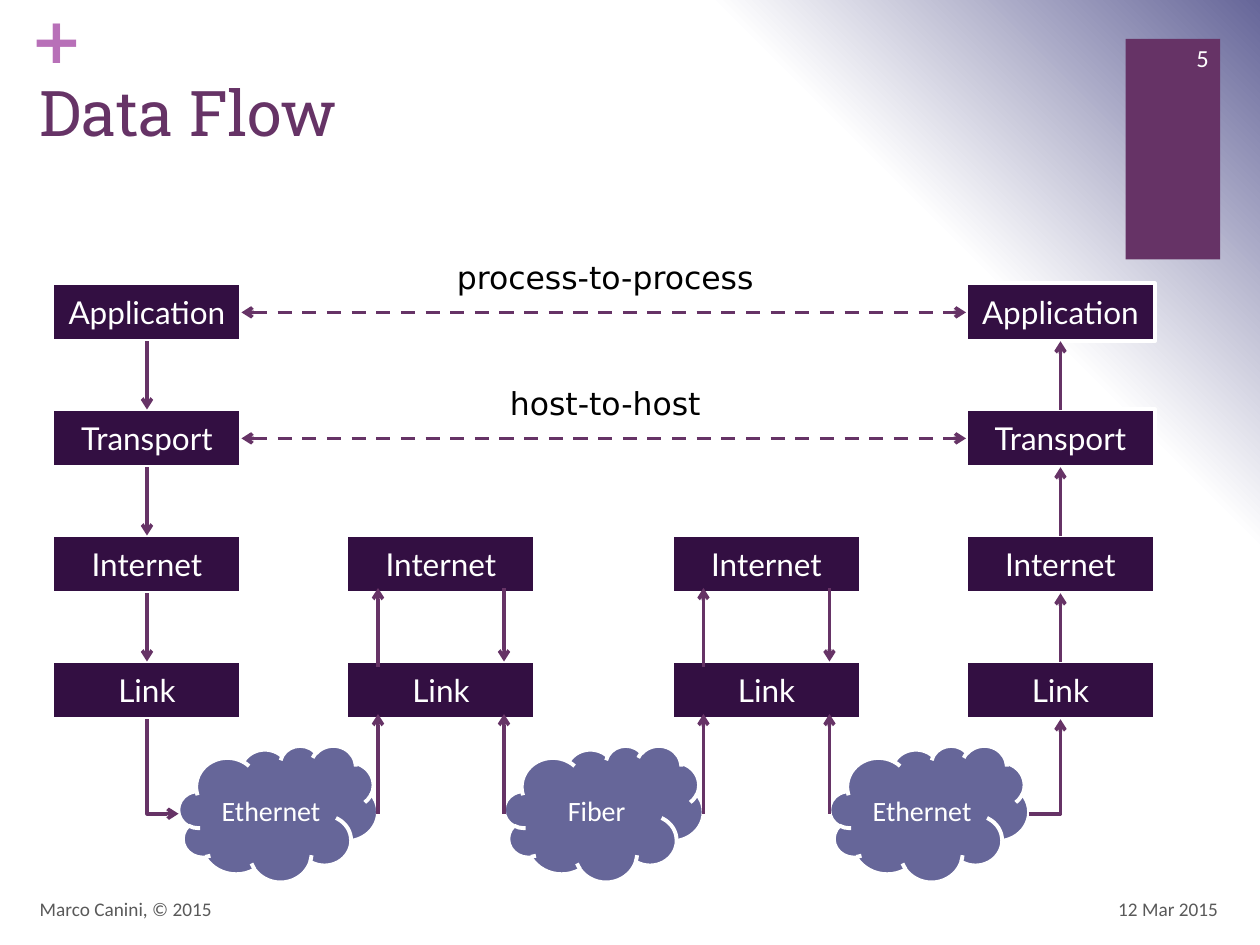
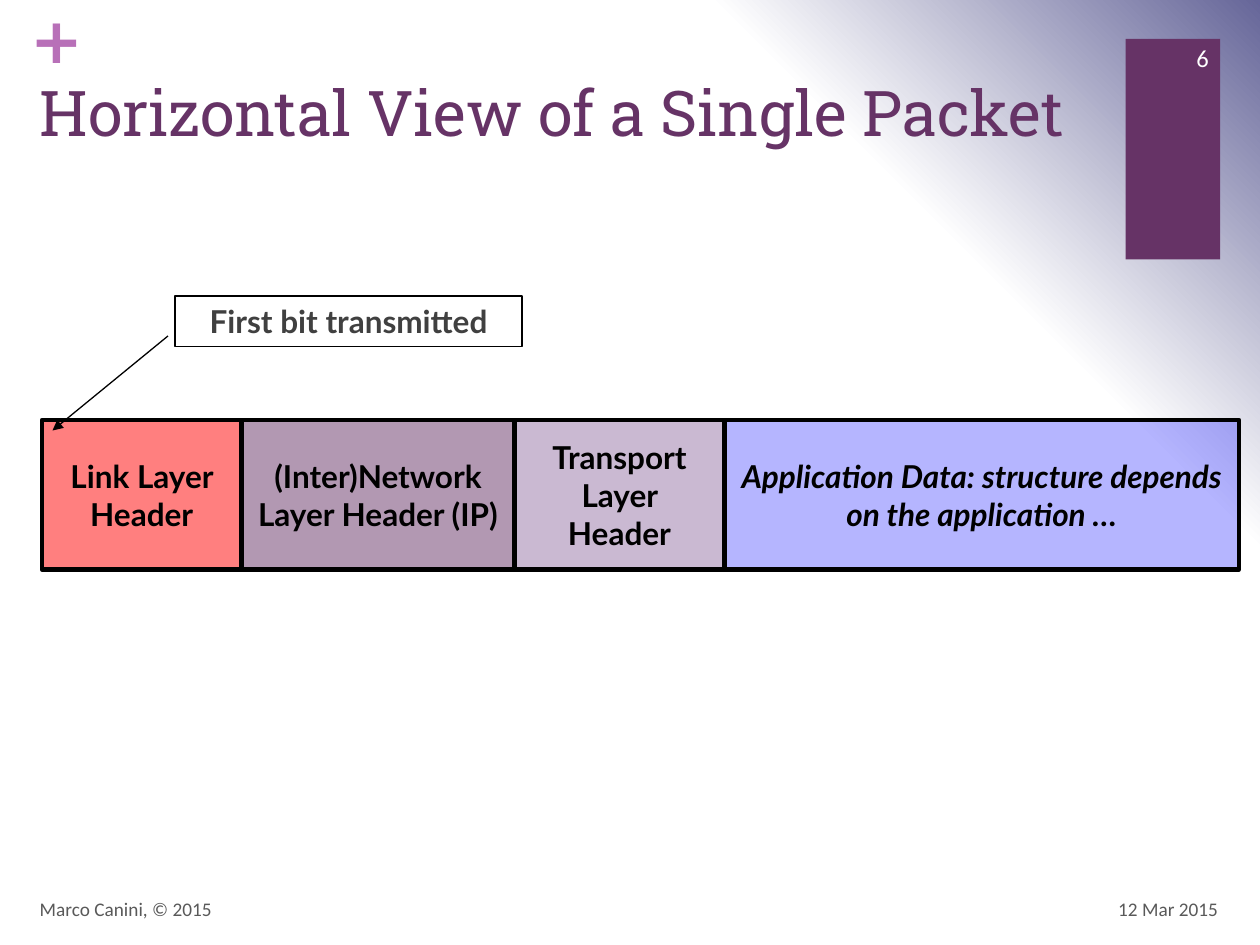
from dataclasses import dataclass
from itertools import accumulate, pairwise

from lxml.etree import SubElement
from pptx import Presentation
from pptx.dml.color import RGBColor
from pptx.enum.dml import MSO_LINE_DASH_STYLE as Dash
from pptx.enum.shapes import MSO_CONNECTOR as Connector, MSO_SHAPE as Preset
from pptx.enum.text import MSO_ANCHOR as Anchor, MSO_AUTO_SIZE as AutoSize, PP_ALIGN as Align
from pptx.oxml.ns import qn
from pptx.util import Inches, Pt


@dataclass(frozen=True)
class TextStyle:
    font: str
    size: float
    color: str
    bold: bool = False
    italic: bool = False


@dataclass(frozen=True)
class Theme:
    purple: str = "663366"
    dark_purple: str = "330F42"
    slate: str = "666699"
    white: str = "FFFFFF"
    black: str = "000000"
    red: str = "FF0000"
    lilac: str = "9775A7"
    blue: str = "0000FF"
    title: TextStyle = TextStyle("Roboto Slab", 36, "663366")
    plus: TextStyle = TextStyle("DejaVu Sans", 36, "B870B8", bold=True)
    footer: TextStyle = TextStyle("Calibri", 11, "595959")
    number: TextStyle = TextStyle("Calibri", 14, "FFFFFF")
    layer: TextStyle = TextStyle("Lato", 18, "FFFFFF")
    network: TextStyle = TextStyle("Calibri", 16, "FFFFFF")
    label: TextStyle = TextStyle("DejaVu Sans", 18, "000000")
    header: TextStyle = TextStyle("Lato", 18, "000000", bold=True)
    payload: TextStyle = TextStyle("Lato", 18, "000000", bold=True, italic=True)
    callout: TextStyle = TextStyle("Lato", 18, "404040", bold=True)


THEME = Theme()
COLUMNS, ROWS = 120, 90
WIDTH, HEIGHT = Inches(10), Inches(7.5)
BOX_WIDTH, BOX_HEIGHT = 18, 5.5
LAYERS = ["Application", "Transport", "Internet", "Link"]
LAYER_ROWS = dict(zip(LAYERS, range(27, 75, 12)))
HOSTS, ROUTERS = [5, 92], [33, 64]
CLOUD_ROW, CLOUD_WIDTH, CLOUD_HEIGHT = 71, 19, 13
CLOUD_MIDDLE = CLOUD_ROW + CLOUD_HEIGHT / 2


def x(column):
    return round(WIDTH * column / COLUMNS)


def y(row):
    return round(HEIGHT * row / ROWS)


def place(left, top, width, height):
    return x(left), y(top), x(width), y(height)


def write(shape, text, style, align=Align.LEFT, anchor=Anchor.TOP):
    frame = shape.text_frame
    frame.vertical_anchor = anchor
    paragraph = frame.paragraphs[0]
    paragraph.alignment = align
    run = paragraph.add_run()
    run.text = text
    font = run.font
    font.name, font.size = style.font, Pt(style.size)
    font.bold, font.italic = style.bold, style.italic
    font.color.rgb = RGBColor.from_string(style.color)


def add_text(slide, area, text, style, align=Align.LEFT, anchor=Anchor.MIDDLE, grow=False):
    box = slide.shapes.add_textbox(*place(*area))
    box.text_frame.word_wrap = not grow
    box.text_frame.auto_size = AutoSize.SHAPE_TO_FIT_TEXT if grow else AutoSize.NONE
    write(box, text, style, align, anchor)
    return box


def add_block(slide, preset, area, fill, outline=None, weight=0, opacity=100):
    shape = slide.shapes.add_shape(preset, *place(*area))
    shape.shadow.inherit = False
    shape.fill.solid()
    shape.fill.fore_color.rgb = RGBColor.from_string(fill)
    if opacity < 100:
        color = shape.fill._xPr.find(f"{qn('a:solidFill')}/{qn('a:srgbClr')}")
        SubElement(color, qn("a:alpha"), val=str(opacity * 1000))
    if outline:
        shape.line.color.rgb = RGBColor.from_string(outline)
        shape.line.width = Pt(weight)
    else:
        shape.line.fill.background()
    return shape


def style_connector(connector, color=THEME.purple, weight=2, head=None, tail=None, dash=None):
    line = connector.line
    line.color.rgb = RGBColor.from_string(color)
    line.width = Pt(weight)
    if dash:
        line.dash_style = dash
    properties = connector._element.spPr
    outline = properties.find(qn("a:ln"))
    for tag, kind in (("a:headEnd", head), ("a:tailEnd", tail)):
        if kind:
            SubElement(outline, qn(tag), type=kind)
    SubElement(properties, qn("a:effectLst"))


def add_arrow(slide, start, end, **style):
    connector = slide.shapes.add_connector(
        Connector.STRAIGHT, x(start[0]), y(start[1]), x(end[0]), y(end[1]))
    style_connector(connector, **style)


def join(slide, first, first_side, second, second_side, **style):
    connector = slide.shapes.add_connector(Connector.STRAIGHT, 0, 0, 0, 0)
    connector.begin_connect(first, first_side)
    connector.end_connect(second, second_side)
    style_connector(connector, **style)


def add_turn(slide, start, end, **style):
    rightward = end[0] > start[0]
    center_x, center_y = x((start[0] + end[0]) / 2), y((start[1] + end[1]) / 2)
    half_length, half_depth = y(end[1] - start[1]) // 2, x(abs(end[0] - start[0])) // 2
    left, right = center_x - half_length, center_x + half_length
    if rightward:
        left, right = right, left
    connector = slide.shapes.add_connector(
        Connector.ELBOW, left, center_y - half_depth, right, center_y + half_depth)
    properties = connector._element.spPr
    properties.find(qn("a:prstGeom")).set("prst", "bentConnector2")
    properties.find(qn("a:xfrm")).set("rot", str((270 if rightward else 90) * 60000))
    style_connector(connector, **style)


def paint_background(master):
    fill = master.background.fill
    fill.gradient()
    gradient = fill._xPr.find(qn("a:gradFill"))
    for child in list(gradient):
        gradient.remove(child)
    stops = SubElement(gradient, qn("a:gsLst"))
    for position, color in ((0, THEME.white), (75, THEME.white), (100, THEME.slate)):
        stop = SubElement(stops, qn("a:gs"), pos=str(position * 1000))
        SubElement(stop, qn("a:srgbClr"), val=color)
    circle = SubElement(gradient, qn("a:path"), path="circle")
    SubElement(circle, qn("a:fillToRect"), t="100000", r="100000")


def add_slide(presentation, title, number):
    slide = presentation.slides.add_slide(presentation.slide_layouts[5])
    placeholder = slide.shapes.title
    placeholder.left, placeholder.top, placeholder.width, placeholder.height = place(
        2.6, 6.4, 103.1, 14.6)
    placeholder.text_frame.auto_size = AutoSize.NONE
    write(placeholder, title, THEME.title)
    add_block(slide, Preset.RECTANGLE, (107.2, 3.7, 9, 21), THEME.purple)
    plus = add_text(slide, (2.9, 0, 3.5, 7.3), "+", THEME.plus, anchor=Anchor.TOP, grow=True)
    frame = plus.text_frame
    frame.margin_left = frame.margin_top = frame.margin_right = frame.margin_bottom = 0
    add_text(slide, (109, 3.1, 7.3, 4.8), str(number), THEME.number, Align.RIGHT)
    add_text(slide, (89.2, 84.2, 28, 4.8), "12 Mar 2015", THEME.footer, Align.RIGHT)
    add_text(slide, (2.6, 84.2, 80.4, 4.8), "Marco Canini, © 2015", THEME.footer)
    return slide


def add_stack(slide, column, layers):
    boxes = []
    for layer in layers:
        area = (column, LAYER_ROWS[layer], BOX_WIDTH, BOX_HEIGHT)
        box = add_block(slide, Preset.RECTANGLE, area, THEME.dark_purple, THEME.white, 2.25)
        write(box, layer, THEME.layer, Align.CENTER, Anchor.MIDDLE)
        boxes.append(box)
    return boxes


def add_router_arrows(slide, column):
    inbound, outbound = column + 3, column + 15
    add_arrow(slide, (inbound, 63.5), (inbound, 56), tail="arrow")
    add_arrow(slide, (outbound, 56), (outbound, 63), tail="arrow")
    for side in (inbound, outbound):
        add_arrow(slide, (side, CLOUD_MIDDLE), (side, 68), tail="arrow")


def build_data_flow(presentation):
    slide = add_slide(presentation, "Data Flow", 5)
    sender, receiver = [add_stack(slide, column, LAYERS) for column in HOSTS]
    for column in ROUTERS:
        add_stack(slide, column, LAYERS[2:])
    for index, name in enumerate(["Ethernet", "Fiber", "Ethernet"]):
        area = (17 + 31 * index, CLOUD_ROW, CLOUD_WIDTH, CLOUD_HEIGHT)
        cloud = add_block(slide, Preset.CLOUD, area, THEME.slate, THEME.white, 2.25)
        write(cloud, name, THEME.network, Align.CENTER, Anchor.MIDDLE)
    for column in ROUTERS:
        add_router_arrows(slide, column)
    for stack, ends in ((sender, {"tail": "arrow"}), (receiver, {"head": "arrow"})):
        for upper, lower in pairwise(stack):
            join(slide, upper, 2, lower, 0, **ends)
    link_bottom = LAYER_ROWS["Link"] + BOX_HEIGHT
    add_turn(slide, (14, link_bottom), (17, CLOUD_MIDDLE), tail="arrow")
    add_turn(slide, (101, link_bottom), (98, CLOUD_MIDDLE), head="arrow")
    labels = [("process-to-process", 31.3), ("host-to-host", 21.3)]
    for left_box, right_box, layer, (text, width) in zip(sender, receiver, LAYERS, labels):
        join(slide, left_box, 3, right_box, 1, head="arrow", tail="arrow", dash=Dash.DASH)
        area = (57.65 - width / 2, LAYER_ROWS[layer] - 3, width, 4.8)
        add_text(slide, area, text, THEME.label, Align.CENTER, Anchor.TOP, grow=True)


def build_packet_view(presentation):
    slide = add_slide(presentation, "Horizontal View of a Single Packet", 6)
    fields = [
        ("Link Layer Header", 19, THEME.red, 50, THEME.header),
        ("(Inter)Network Layer Header (IP)", 26, THEME.purple, 50, THEME.header),
        ("Transport Layer Header", 20, THEME.lilac, 50, THEME.header),
        ("Application Data: structure depends on the application …", 49,
         THEME.blue, 29, THEME.payload),
    ]
    lefts = accumulate((field[1] for field in fields), initial=4)
    for left, (text, width, fill, opacity, style) in zip(lefts, fields):
        field = add_block(slide, Preset.RECTANGLE, (left, 40, width, 14.25), fill,
                          THEME.black, 2.5, opacity)
        write(field, text, style, Align.CENTER, Anchor.MIDDLE)
    callout = add_text(slide, (16.7, 28.2, 33, 4.8), "First bit transmitted",
                       THEME.callout, Align.CENTER, grow=True)
    callout.line.color.rgb = RGBColor.from_string(THEME.black)
    callout.line.width = Pt(1)
    add_arrow(slide, (16, 32), (5, 41), color=THEME.black, weight=0.75, tail="triangle")


def main():
    presentation = Presentation()
    presentation.slide_width, presentation.slide_height = WIDTH, HEIGHT
    paint_background(presentation.slide_master)
    build_data_flow(presentation)
    build_packet_view(presentation)
    presentation.save("out.pptx")


if __name__ == "__main__":
    main()
